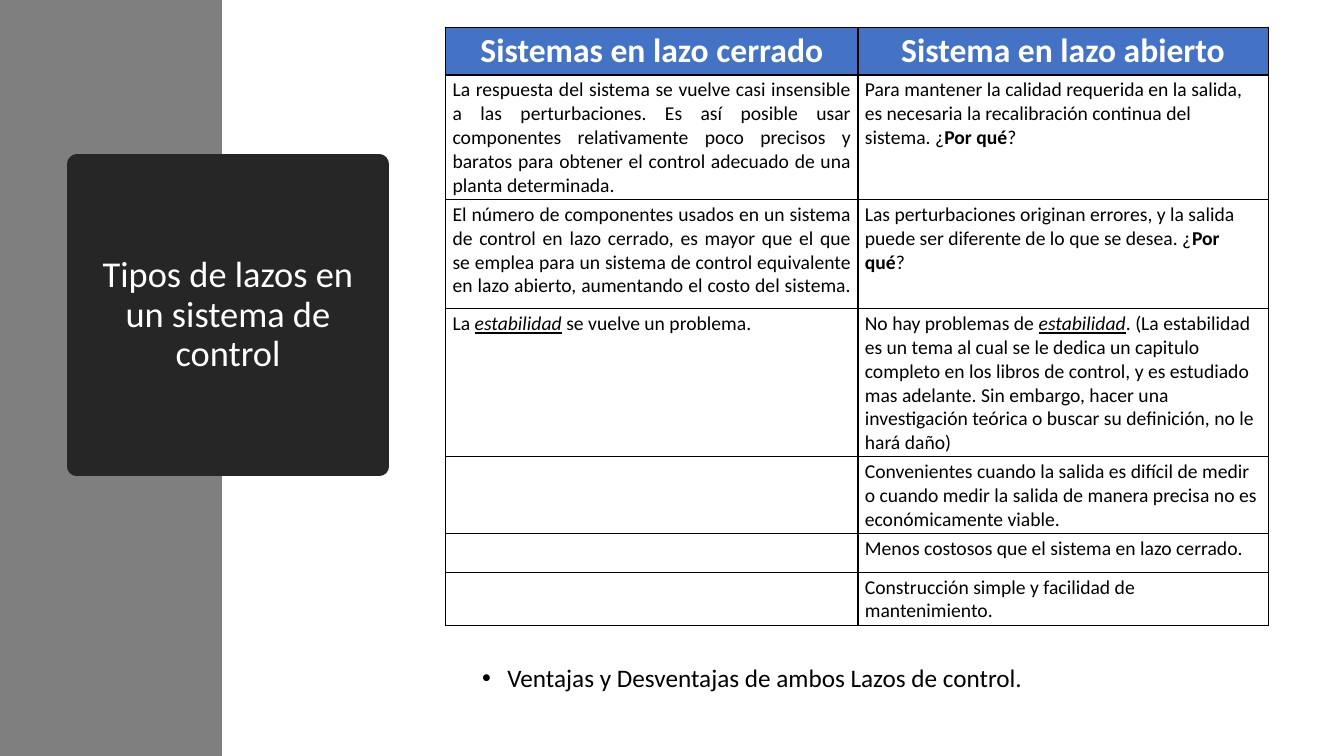
from lxml.etree import SubElement
from pptx import Presentation
from pptx.dml.color import RGBColor
from pptx.enum.shapes import MSO_SHAPE
from pptx.enum.text import MSO_ANCHOR, MSO_AUTO_SIZE, PP_ALIGN
from pptx.oxml.ns import qn
from pptx.util import Pt

FONT = "Calibri"
TITLE = "Tipos de lazos en un sistema de control"
NOTE = "Ventajas y Desventajas de ambos Lazos de control."
HEADS = ["Sistemas en lazo cerrado", "Sistema en lazo abierto"]
# Each cell is a list of (text, style): "b" bold, "iu" italic underlined
ROWS = [
    ([("La respuesta del sistema se vuelve casi insensible a las perturbaciones. "
       "Es así posible usar componentes relativamente poco precisos y baratos "
       "para obtener el control adecuado de una planta determinada.", "")],
     [("Para mantener la calidad requerida en la salida, es necesaria la "
       "recalibración continua del sistema. ¿", ""), ("Por qué", "b"), ("?", "")]),
    ([("El número de componentes usados en un sistema de control en lazo cerrado, "
       "es mayor que el que se emplea para un sistema de control equivalente en "
       "lazo abierto, aumentando el costo del sistema. ", "")],
     [("Las perturbaciones originan errores, y la salida puede ser diferente de "
       "lo que se desea. ¿", ""), ("Por qué", "b"), ("?", "")]),
    ([("La ", ""), ("estabilidad", "iu"), (" se vuelve un problema.", "")],
     [("No hay problemas de ", ""), ("estabilidad", "iu"),
      (". (La estabilidad es un tema al cual se le dedica un capitulo completo "
       "en los libros de control, y es estudiado mas adelante. Sin embargo, hacer "
       "una investigación teórica o buscar su definición, no le hará daño)", "")]),
    ([], [("Convenientes cuando la salida es difícil de medir o cuando medir la "
           "salida de manera precisa no es económicamente viable.", "")]),
    ([], [("Menos costosos que el sistema en lazo cerrado.", "")]),
    ([], [("Construcción simple y facilidad de mantenimiento.", "")]),
]
WIDTHS = [294.5, 293]
HEIGHTS = [34, 78, 78, 78, 44, 27.4, 27.4]


def color(hexa):
    return RGBColor.from_string(hexa)


def paint(thing, hexa):
    thing.fill.solid()
    thing.fill.fore_color.rgb = color(hexa)


def write(para, text, size, hexa, style=""):
    run = para.add_run()
    run.text = text
    font = run.font
    font.name, font.size, font.color.rgb = FONT, Pt(size), color(hexa)
    font.bold = "b" in style
    font.italic = "i" in style
    font.underline = "u" in style


def edge(cell):
    """Draw a thin black border on all four sides."""
    props = cell._tc.get_or_add_tcPr()
    for side in ("lnL", "lnR", "lnT", "lnB"):
        line = SubElement(props, qn("a:" + side), w=str(Pt(1)))
        fill = SubElement(line, qn("a:solidFill"))
        SubElement(fill, qn("a:srgbClr"), val="000000")


def add_band(slide):
    band = slide.shapes.add_shape(MSO_SHAPE.RECTANGLE, 0, 0, Pt(158.6), Pt(540))
    band.shadow.inherit = False
    paint(band, "7F7F7F")
    band.line.fill.background()
    # Send the band behind the title
    tree = slide.shapes._spTree
    tree.remove(band._element)
    tree.insert(2, band._element)


def add_title(slide):
    title = slide.shapes.title
    title.left, title.top = Pt(54.9), Pt(117.2)
    title.width = title.height = Pt(216)
    paint(title, "262626")
    title.line.color.rgb = color("262626")
    title.line.width = Pt(13.75)
    SubElement(title.line._ln, qn("a:round"))
    frame = title.text_frame
    frame.auto_size = MSO_AUTO_SIZE.NONE
    frame.word_wrap = True
    frame.vertical_anchor = MSO_ANCHOR.MIDDLE
    para = frame.paragraphs[0]
    para.alignment = PP_ALIGN.CENTER
    para.line_spacing = 0.9
    write(para, TITLE, 26, "FFFFFF")


def add_note(slide):
    box = slide.shapes.add_textbox(Pt(328.3), Pt(472.3), Pt(566), Pt(31.7))
    box.text_frame.word_wrap = True
    para = box.text_frame.paragraphs[0]
    para.line_spacing = 0.9
    para.space_after = Pt(6)
    props = para._p.get_or_add_pPr()
    props.set("marL", str(Pt(27)))
    props.set("indent", str(Pt(-18)))
    SubElement(props, qn("a:buFont"), typeface="Arial")
    SubElement(props, qn("a:buChar"), char="•")
    write(para, NOTE, 18, "000000")


def add_grid(slide):
    frame = slide.shapes.add_table(len(HEIGHTS), len(WIDTHS), Pt(318.4), Pt(19.6),
                                   Pt(sum(WIDTHS)), Pt(sum(HEIGHTS)))
    table = frame.table
    table.horz_banding = False
    for col, width in zip(table.columns, WIDTHS):
        col.width = Pt(width)
    for row, height in zip(table.rows, HEIGHTS):
        row.height = Pt(height)
    grid = [[[(head, "b")] for head in HEADS]] + ROWS
    for r, line in enumerate(grid):
        for c, runs in enumerate(line):
            cell = table.cell(r, c)
            cell.margin_left = cell.margin_right = Pt(4.9)
            cell.margin_top = cell.margin_bottom = Pt(2.4)
            edge(cell)
            paint(cell, "FFFFFF" if r else "4472C4")
            para = cell.text_frame.paragraphs[0]
            if r == 0:
                para.alignment = PP_ALIGN.CENTER
            else:
                para.alignment = PP_ALIGN.LEFT if c else PP_ALIGN.JUSTIFY
            size, ink = (14, "000000") if r else (24, "FFFFFF")
            for text, style in runs:
                write(para, text, size, ink, style)


def main():
    deck = Presentation()
    deck.slide_width, deck.slide_height = Pt(960), Pt(540)
    slide = deck.slides.add_slide(deck.slide_layouts[5])
    add_band(slide)
    add_title(slide)
    add_note(slide)
    add_grid(slide)
    deck.save("out.pptx")


if __name__ == "__main__":
    main()
